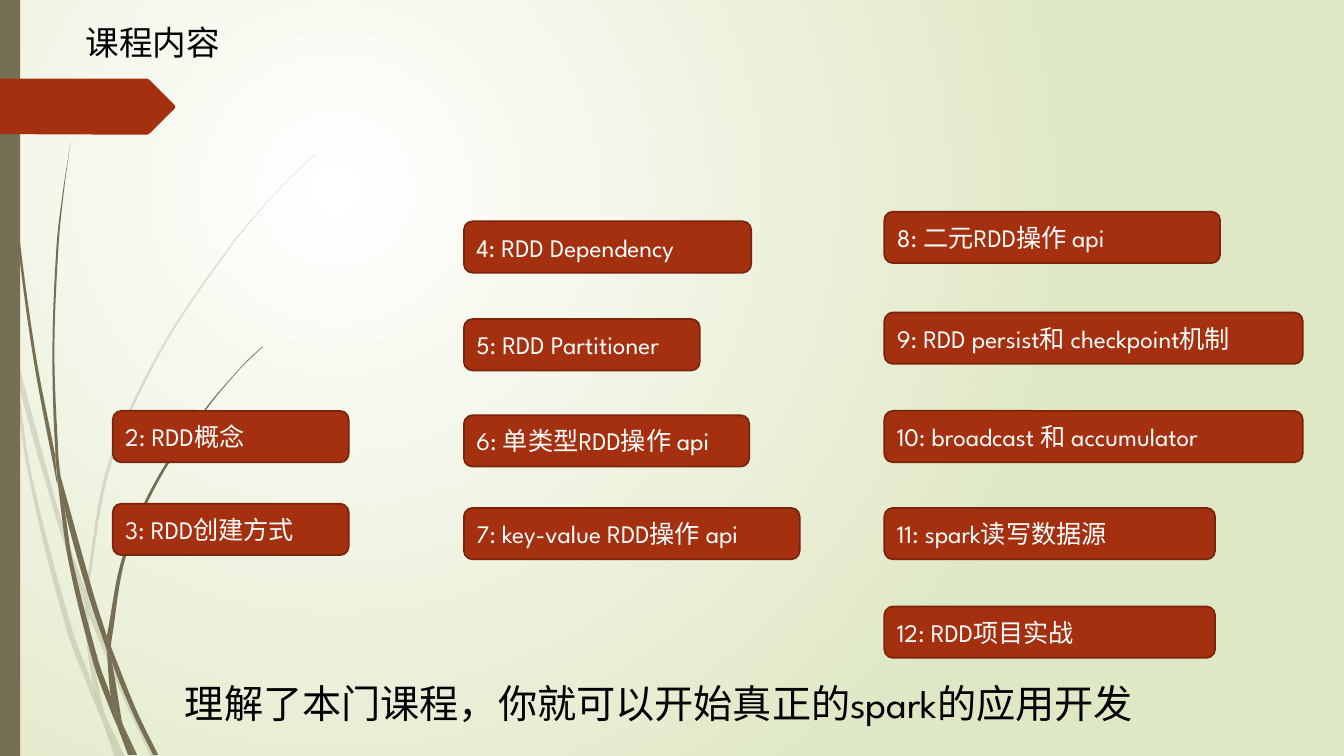
from dataclasses import dataclass
from math import dist, hypot

from lxml import etree
from pptx import Presentation
from pptx.dml.color import RGBColor
from pptx.enum import shapes, text
from pptx.oxml import ns
from pptx.util import Pt


@dataclass(frozen=True)
class Theme:
    font: str = "League Spartan"
    white: str = "FFFFFF"
    black: str = "000000"
    meadow: str = "DFE8C4"
    olive: str = "766F54"
    rust: str = "A53010"
    rust_edge: str = "7A240C"
    topic_size: float = 18
    title_size: float = 24
    closing_size: float = 28


THEME = Theme()
GRID = 0.72  # points per unit of the grass outlines
TOPIC_HEIGHT = 36.7

# Grass pieces: the two curved edges of each
PALE_GRASS = [
    ([(11, 350), (9, 322), (0, 282)], [(0, 299), (10, 344), (11, 350)]),
    ([(14, 345), (17, 376), (58, 522), (84, 599)], [(85, 586), (62, 520), (14, 345)]),
    ([(88, 596), (92, 607), (127, 692), (155, 751)], [(150, 751), (123, 694), (88, 610)]),
    ([(105, 711), (119, 751)], [(124, 751), (105, 711)]),
    ([(11, 350), (28, 470), (65, 621), (92, 693), (101, 714)],
     [(99, 707), (93, 683), (70, 619), (31, 469), (17, 376), (11, 350)]),
    ([(84, 599), (87, 646), (93, 683), (96, 692), (105, 711)],
     [(103, 706), (91, 646), (88, 610), (88, 608), (84, 599)]),
    ([(312, 153), (289, 175), (268, 197), (228, 244), (158, 348), (107, 461), (85, 584),
      (85, 586)],
     [(88, 596), (88, 584), (110, 462), (160, 349), (229, 245), (268, 198), (290, 175),
      (312, 154)]),
    ([(101, 714), (114, 751)], [(119, 751), (101, 714)]),
    ([(88, 608), (88, 610), (88, 596)], [(85, 586), (84, 599)]),
    ([(93, 683), (99, 707), (101, 714), (119, 751)], [(105, 711), (96, 692), (93, 683)]),
]
DARK_GRASS = [
    ([(3, 0), (4, 48), (7, 110), (17, 233), (33, 355), (56, 477), (57, 481)],
     [(55, 457), (55, 453), (36, 355), (19, 232), (8, 109), (5, 48), (4, 0)]),
    ([(60, 472), (64, 505), (88, 592), (106, 645)],
     [(106, 633), (106, 631), (93, 590), (60, 472)]),
    ([(110, 641), (111, 656), (132, 708), (152, 749)],
     [(157, 749), (136, 706), (113, 649), (110, 641)]),
    ([(57, 477), (68, 557), (93, 659), (111, 708), (117, 722)],
     [(116, 717), (110, 691), (98, 657), (72, 556), (64, 505), (57, 477)]),
    ([(70, 141), (62, 193), (56, 245), (52, 349), (55, 449), (60, 472)],
     [(60, 472), (58, 453), (54, 349), (58, 245), (63, 193), (70, 141)]),
    ([(122, 719), (133, 749)], [(136, 749), (122, 719)]),
    ([(57, 477), (64, 505)], [(60, 472), (55, 449), (55, 453), (57, 477)]),
    ([(260, 344), (245, 358), (231, 373), (204, 405), (156, 474), (122, 551), (106, 631)],
     [(110, 641), (111, 633), (125, 552), (158, 476), (205, 406), (231, 374), (245, 359),
      (261, 344)]),
    ([(117, 722), (127, 749)], [(131, 749), (117, 722)]),
    ([(106, 645), (110, 691), (116, 706), (122, 719)],
     [(121, 716), (111, 656), (109, 651), (106, 645)]),
    ([(106, 645), (109, 651), (111, 656)], [(110, 641), (106, 631), (106, 633), (106, 645)]),
    ([(110, 691), (116, 717), (117, 722), (130, 749)],
     [(133, 749), (122, 719), (116, 706), (110, 691)]),
]

# Banner outline in points
BANNER = [(0, 56.2), (105.1, 56.2), (106.6, 56.9), (124.6, 74.9), (125.3, 76.3),
          (124.6, 77.8), (106.6, 95.6), (105.1, 96.2), (97.9, 96.2), (0, 95.8)]

# Topic columns: left edge, then (top, width, label) in points
TOPIC_COLUMNS = [
    (80.6, [(293.5, 168.5, "2: RDD概念"),
            (359.8, 168.5, "3: RDD创建方式")]),
    (331.4, [(158.1, 205.2, "4: RDD Dependency"),
             (227.9, 168.5, "5: RDD Partitioner"),
             (296.6, 203.8, "6: 单类型RDD操作 api"),
             (362.8, 239.8, "7: key-value RDD操作 api")]),
    (631.7, [(151.2, 239.8, "8: 二元RDD操作 api"),
             (223.2, 298.8, "9: RDD persist和 checkpoint机制"),
             (293.5, 298.8, "10: broadcast 和 accumulator"),
             (362.8, 236.2, "11: spark读写数据源"),
             (433.2, 236.2, "12: RDD项目实战")]),
]


def curve_handles(edge):
    """Two Bezier handles for each step of a smooth edge."""
    padded = [edge[0], *edge, edge[-1]]
    tangents = []
    for (x0, y0), (x1, y1) in zip(padded, padded[2:]):
        length = hypot(x1 - x0, y1 - y0) or 1
        tangents.append(((x1 - x0) / length, (y1 - y0) / length))
    handles = []
    for start, end, leave, arrive in zip(edge, edge[1:], tangents, tangents[1:]):
        reach = dist(start, end) / 3
        handles.append(((start[0] + reach * leave[0], start[1] + reach * leave[1]),
                        (end[0] - reach * arrive[0], end[1] - reach * arrive[1])))
    return handles


def paint(shape, color, edge=None):
    shape.shadow.inherit = False
    shape.fill.solid()
    shape.fill.fore_color.rgb = RGBColor.from_string(color)
    if edge:
        shape.line.color.rgb = RGBColor.from_string(edge)
        shape.line.width = Pt(1.25)
    else:
        shape.line.fill.background()


def set_opacity(shape, percent):
    color = shape.fill._xPr.find(".//" + ns.qn("a:srgbClr"))
    etree.SubElement(color, ns.qn("a:alpha"), val=str(percent * 1000))


def add_outline(page, points, color):
    start, *rest = [(Pt(x), Pt(y)) for x, y in points]
    builder = page.shapes.build_freeform(*start)
    builder.add_line_segments(rest, close=True)
    outline = builder.convert_to_shape()
    paint(outline, color)
    return outline


def add_grass(page, edges, opacity=100):
    near, far = [[(x * GRID, y * GRID) for x, y in edge] for edge in edges]
    grass = add_outline(page, near + far, THEME.olive)
    handles = curve_handles(near) + [None] + curve_handles(far)
    steps = list(grass._element.iter(ns.qn("a:lnTo")))
    for step, pair in zip(steps, handles):
        if pair:
            step.tag = ns.qn("a:cubicBezTo")
            for place, (x, y) in enumerate(pair):
                step.insert(place, etree.Element(ns.qn("a:pt"), x=str(Pt(x) - grass.left),
                                                 y=str(Pt(y) - grass.top)))
    if opacity < 100:
        set_opacity(grass, opacity)


def write(box, words, size, color):
    para = box.text_frame.paragraphs[0]
    para.alignment = text.PP_ALIGN.LEFT
    span = para.add_run()
    span.text = words
    span.font.name = THEME.font
    span.font.size = Pt(size)
    span.font.color.rgb = RGBColor.from_string(color)


def add_line_of_text(page, left, top, width, height, words, size):
    box = page.shapes.add_textbox(Pt(left), Pt(top), Pt(width), Pt(height))
    box.text_frame.word_wrap = False
    box.text_frame.auto_size = text.MSO_AUTO_SIZE.SHAPE_TO_FIT_TEXT
    write(box, words, size, THEME.black)


def add_topic(page, left, top, width, label):
    box = page.shapes.add_shape(shapes.MSO_SHAPE.ROUNDED_RECTANGLE,
                                Pt(left), Pt(top), Pt(width), Pt(TOPIC_HEIGHT))
    paint(box, THEME.rust, THEME.rust_edge)
    box.text_frame.word_wrap = True
    box.text_frame.vertical_anchor = text.MSO_ANCHOR.MIDDLE
    write(box, label, THEME.topic_size, THEME.white)


def set_radial_background(page):
    fill = page.background.fill
    fill.gradient()
    for stop, position, color in zip(fill.gradient_stops, (0, 1), (THEME.white, THEME.meadow)):
        stop.position = position
        stop.color.rgb = RGBColor.from_string(color)
    gradient = page.background._cSld.find(".//" + ns.qn("a:gradFill"))
    gradient.remove(gradient.find(ns.qn("a:lin")))
    circle = etree.SubElement(gradient, ns.qn("a:path"), path="circle")
    etree.SubElement(circle, ns.qn("a:fillToRect"),
                     l="50000", t="50000", r="100000", b="100000")


def main():
    deck = Presentation()
    deck.slide_width, deck.slide_height = Pt(960), Pt(540)
    page = deck.slides.add_slide(deck.slide_layouts[6])
    # Backdrop: gradient, grass, side bar and banner
    set_radial_background(page)
    for edges in PALE_GRASS:
        add_grass(page, edges, opacity=20)
    for edges in DARK_GRASS:
        add_grass(page, edges)
    side_bar = page.shapes.add_shape(shapes.MSO_SHAPE.RECTANGLE, 0, 0, Pt(14.4), Pt(540))
    paint(side_bar, THEME.olive)
    add_outline(page, BANNER, THEME.rust)
    # Title, topics and closing line
    add_line_of_text(page, 54, 12.2, 111.6, 36, "课程内容", THEME.title_size)
    for left, topics in TOPIC_COLUMNS:
        for topic in topics:
            add_topic(page, left, *topic)
    add_line_of_text(page, 125, 481.7, 708.5, 41,
                     "理解了本门课程，你就可以开始真正的spark的应用开发", THEME.closing_size)
    deck.save("out.pptx")


if __name__ == "__main__":
    main()
